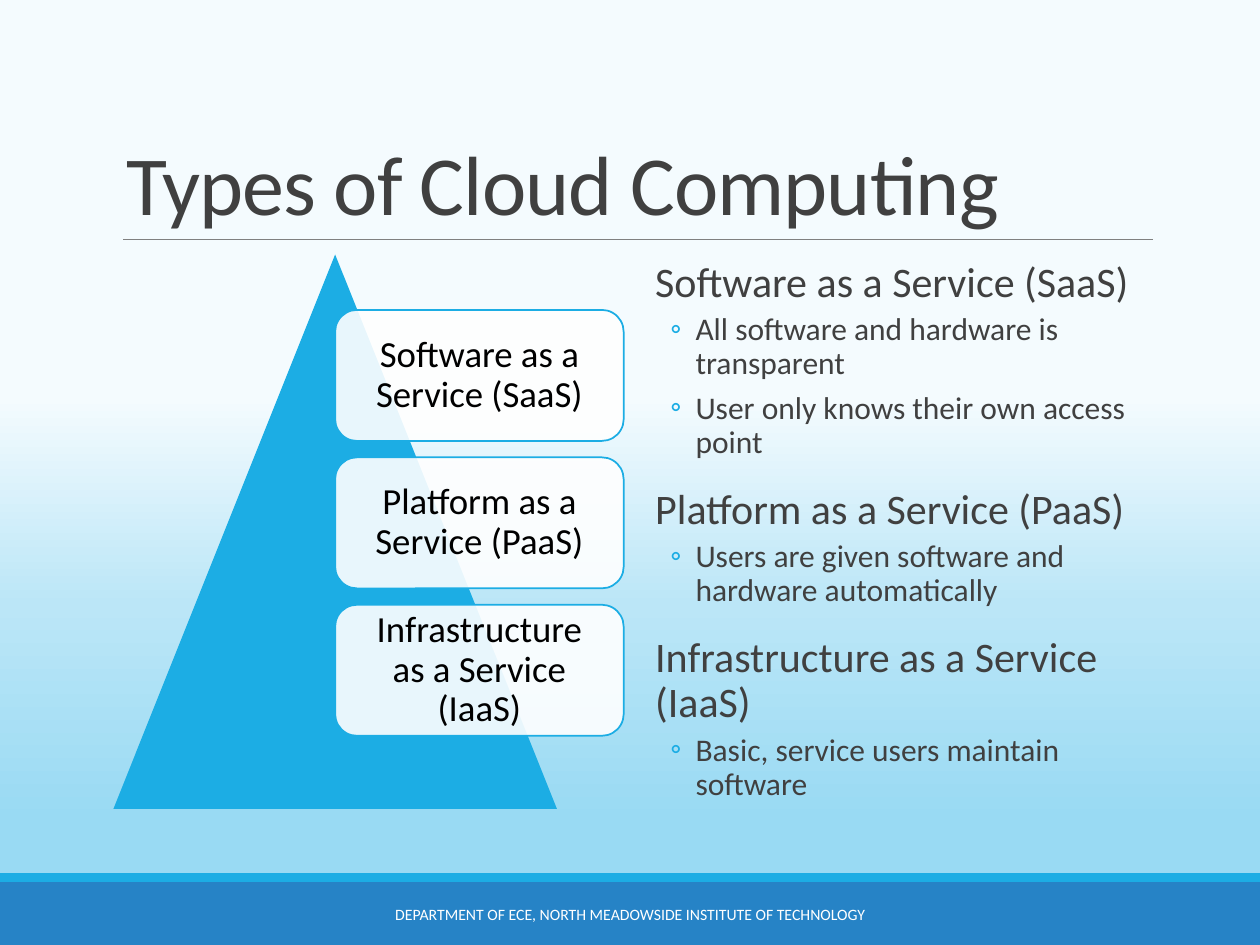
from dataclasses import dataclass

from lxml.etree import SubElement
from pptx import Presentation
from pptx.dml.color import RGBColor
from pptx.enum.shapes import MSO_CONNECTOR as Connector, MSO_SHAPE as Shape
from pptx.enum.text import MSO_ANCHOR as Anchor, MSO_AUTO_SIZE as AutoSize, PP_ALIGN as Align
from pptx.oxml.ns import qn
from pptx.util import Inches, Pt


@dataclass(frozen=True)
class Theme:
    font: str = "Calibri"
    accent: str = "1CADE4"
    band: str = "2683C6"
    rule: str = "808080"
    text: str = "404040"
    dark: str = "000000"
    light: str = "FFFFFF"
    sky: tuple = ((42, "F4FBFE"), (64, "BBE6F7"), (87, "99DAF3"), (100, "99DAF3"))
    title_size: float = 48
    heading_size: float = 24
    card_size: float = 21
    bullet_size: float = 18
    footer_size: float = 9


class SlideBuilder:
    def __init__(self, slide, theme):
        self.slide = slide
        self.theme = theme

    def background(self):
        fill = self.slide.background.fill
        fill.gradient()
        fill.gradient_angle = 270
        stops = self.slide.element.find(".//" + qn("a:gsLst"))
        for stop in list(stops):
            stops.remove(stop)
        for percent, color in self.theme.sky:
            stop = SubElement(stops, qn("a:gs"), pos=str(percent * 1000))
            SubElement(stop, qn("a:srgbClr"), val=color)

    def style(self, paragraph, size, color, align=Align.LEFT, spacing=0.9):
        paragraph.alignment = align
        paragraph.line_spacing = spacing
        for run in paragraph.runs:
            run.font.name = self.theme.font
            run.font.size = Pt(size)
            run.font.color.rgb = RGBColor.from_string(color)

    def block(self, kind, left, top, width, height, color):
        shape = self.slide.shapes.add_shape(
            kind, Inches(left), Inches(top), Inches(width), Inches(height))
        shape.shadow.inherit = False
        shape.fill.solid()
        shape.fill.fore_color.rgb = RGBColor.from_string(color)
        shape.line.fill.background()
        return shape

    def card(self, text, left, top, width, height):
        """Add a rounded, slightly transparent label with an accent outline."""
        card = self.block(Shape.ROUNDED_RECTANGLE, left, top, width, height, self.theme.light)
        color = card.fill._xPr.find(".//" + qn("a:srgbClr"))
        SubElement(color, qn("a:alpha"), val="90000")
        card.line.color.rgb = RGBColor.from_string(self.theme.accent)
        card.line.width = Pt(1)
        frame = card.text_frame
        frame.margin_left = frame.margin_right = Inches(0.14)
        frame.margin_top = frame.margin_bottom = Inches(0.14)
        frame.vertical_anchor = Anchor.MIDDLE
        frame.text = text
        self.style(frame.paragraphs[0], self.theme.card_size, self.theme.dark, Align.CENTER)

    def rule(self, left, right, y):
        line = self.slide.shapes.add_connector(
            Connector.STRAIGHT, Inches(left), Inches(y), Inches(right), Inches(y))
        line.line.color.rgb = RGBColor.from_string(self.theme.rule)
        line.line.width = Pt(0.5)
        SubElement(line.element.spPr, qn("a:effectLst"))

    def placeholder(self, index, left, top, width, height):
        holder = self.slide.placeholders[index]
        holder.left, holder.top = Inches(left), Inches(top)
        holder.width, holder.height = Inches(width), Inches(height)
        holder.text_frame.auto_size = AutoSize.NONE
        return holder.text_frame

    def title(self, text, *box):
        frame = self.placeholder(0, *box)
        frame.vertical_anchor = Anchor.BOTTOM
        frame.text = text
        self.style(frame.paragraphs[0], self.theme.title_size, self.theme.text, spacing=0.85)
        frame.paragraphs[0].runs[0].font._element.set("spc", "-50")

    def outline(self, services, *box):
        """Fill the body with each service name followed by its points."""
        frame = self.placeholder(1, *box)
        frame.margin_left = frame.margin_right = 0
        entries = []
        for service, points in services.items():
            entries += [(service, 0)] + [(point, 1) for point in points]
        frame.text = "\n".join(text for text, level in entries)
        for paragraph, (text, level) in zip(frame.paragraphs, entries):
            size = self.theme.bullet_size if level else self.theme.heading_size
            paragraph.level = level
            self.style(paragraph, size, self.theme.text)
            paragraph.space_before = Pt(2 if level else 12)
            paragraph.space_after = Pt(4 if level else 2)
            self.bullet(paragraph, level)

    def bullet(self, paragraph, level):
        properties = paragraph._p.get_or_add_pPr()
        properties.set("marL", str(Inches(0.42 if level else 0.1)))
        properties.set("indent", str(Inches(-0.2 if level else 0)))
        if level:
            color = SubElement(properties, qn("a:buClr"))
            SubElement(color, qn("a:srgbClr"), val=self.theme.accent)
            SubElement(properties, qn("a:buFont"), typeface=self.theme.font)
            SubElement(properties, qn("a:buChar"), char="◦")
        else:
            SubElement(properties, qn("a:buNone"))

    def footer(self, text, left, top, width, height):
        box = self.slide.shapes.add_textbox(
            Inches(left), Inches(top), Inches(width), Inches(height))
        frame = box.text_frame
        frame.word_wrap = True
        frame.vertical_anchor = Anchor.MIDDLE
        frame.text = text
        self.style(frame.paragraphs[0], self.theme.footer_size, self.theme.light,
                   Align.CENTER, spacing=1.0)


SERVICES = {
    "Software as a Service (SaaS)": [
        "All software and hardware is transparent",
        "User only knows their own access point",
    ],
    "Platform as a Service (PaaS)": [
        "Users are given software and hardware automatically",
    ],
    "Infrastructure as a Service (IaaS)": [
        "Basic, service users maintain software",
    ],
}
CARD_TOP, CARD_PITCH = 2.46, 1.17


def main():
    deck = Presentation()
    deck.slide_width, deck.slide_height = Inches(10), Inches(7.5)
    theme = Theme()
    builder = SlideBuilder(deck.slides.add_slide(deck.slide_layouts[1]), theme)

    builder.background()
    builder.block(Shape.RECTANGLE, 0, 7, 10, 0.5, theme.band)
    builder.block(Shape.RECTANGLE, 0, 6.93, 10, 0.07, theme.accent)
    builder.rule(0.98, 9.15, 1.9)
    builder.title("Types of Cloud Computing", 0.9, 0.31, 8.25, 1.59)

    builder.block(Shape.ISOSCELES_TRIANGLE, 0.9, 2.02, 3.52, 4.4, theme.accent)
    for row, service in enumerate(SERVICES):
        builder.card(service, 2.66, CARD_TOP + row * CARD_PITCH, 2.29, 1.04)

    builder.outline(SERVICES, 5.1, 2.02, 4, 4.57)
    builder.footer("DEPARTMENT OF ECE, NORTH MEADOWSIDE INSTITUTE OF TECHNOLOGY",
                   3.02, 7.06, 3.96, 0.4)
    deck.save("out.pptx")


if __name__ == "__main__":
    main()
